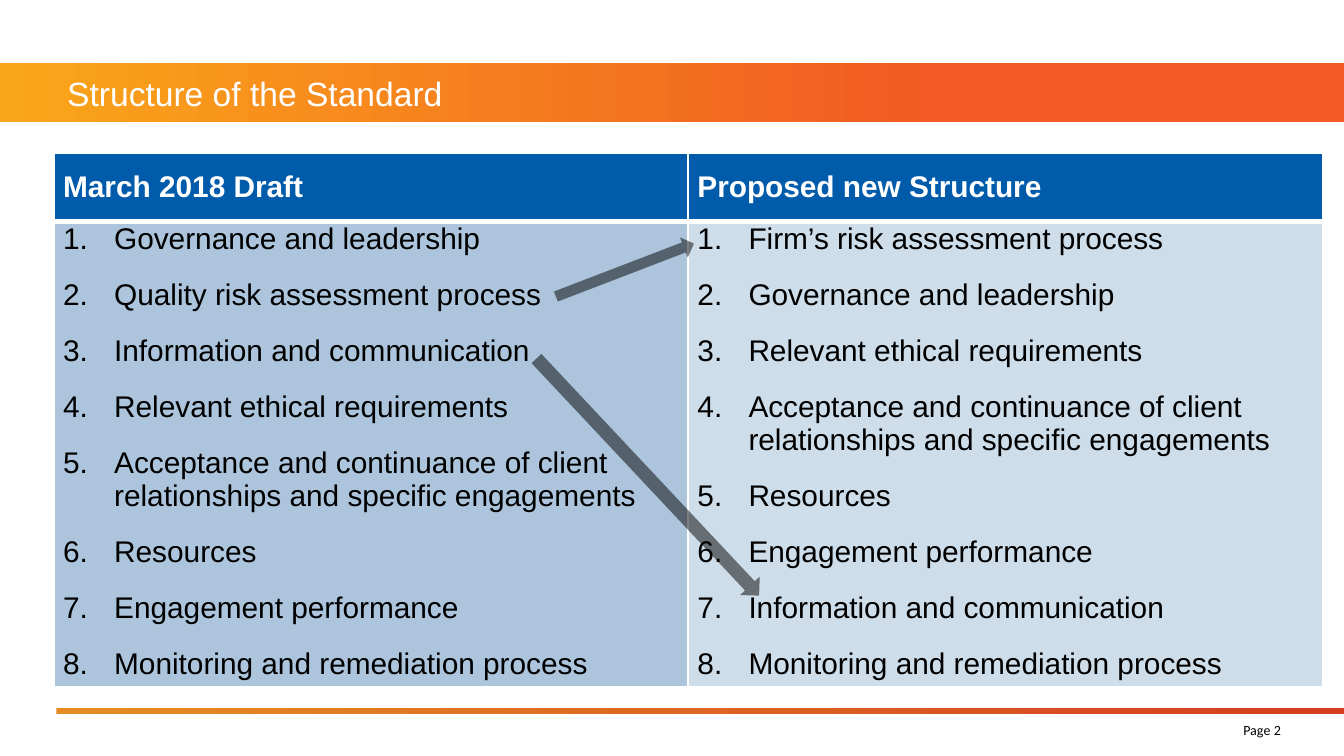
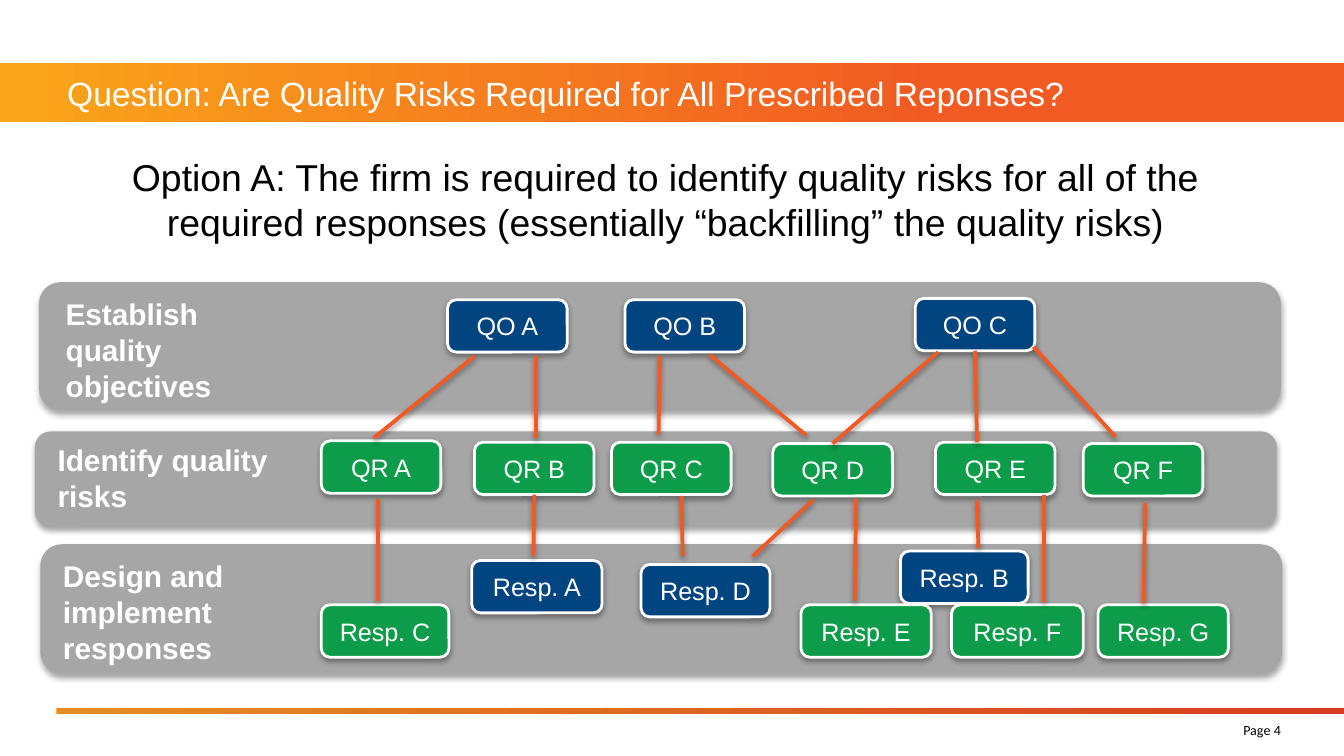
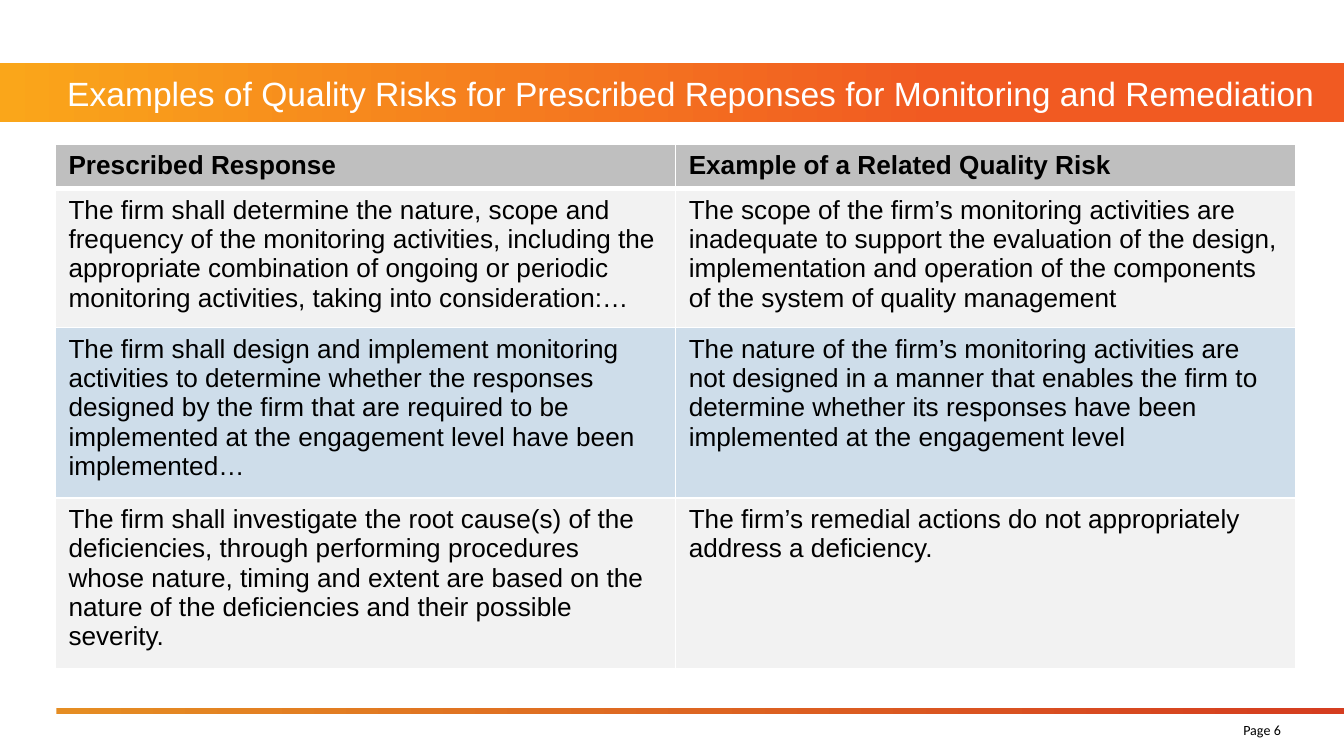
from lxml import etree
from pptx import Presentation
from pptx.dml.color import RGBColor
from pptx.enum.shapes import MSO_CONNECTOR, MSO_SHAPE
from pptx.enum.text import MSO_ANCHOR as ANCHOR, MSO_AUTO_SIZE, PP_ALIGN as ALIGN
from pptx.oxml.ns import qn
from pptx.util import Inches, Pt

# Shared look
WIDTH = 10
HEIGHT = WIDTH * 9 / 16
WHITE, BLACK, GREY = "FFFFFF", "000000", "A6A6A6"
NAVY, GREEN, ORANGE = "004480", "0D9C4A", "F15A22"
BLUE, MID_BLUE, PALE_BLUE = "005BAA", "ACC5DC", "CEDDEA"
HEADER_GREY, PALE_GREY = "BFBFBF", "F2F2F2"
FONT = "Arial"
TITLE_BAND = (0, 0.47, WIDTH, 0.44)
FOOTER_RULE = (0.42, 5.27, 9.58, 0.04)

# Slide 1: two numbered lists and the arrows between them
STRUCTURE = {
    "March 2018 Draft": [
        "Governance and leadership",
        "Quality risk assessment process",
        "Information and communication",
        "Relevant ethical requirements",
        "Acceptance and continuance of client relationships and specific engagements",
        "Resources",
        "Engagement performance",
        "Monitoring and remediation process",
    ],
    "Proposed new Structure": [
        "Firm’s risk assessment process",
        "Governance and leadership",
        "Relevant ethical requirements",
        "Acceptance and continuance of client relationships and specific engagements",
        "Resources",
        "Engagement performance",
        "Information and communication",
        "Monitoring and remediation process",
    ],
}
MOVES = [((4.1, 1.93, 1.1, 0.16), 339), ((3.61, 3.45, 2.42, 0.2), 46.8)]

# Slide 2: lanes, boxes (name, left, top, width) and links
OPTION = ("Option A: The firm is required to identify quality risks for all of the "
          "required responses (essentially “backfilling” the quality risks)")
LANES = [
    ("Establish quality objectives", (0.29, 2.1, 9.24, 0.95), (0.39, 2.15, 1.83, 0.91)),
    ("Identify quality risks", (0.26, 3.21, 9.24, 0.71), (0.33, 3.24, 2.08, 0.64)),
    ("Design and implement responses", (0.3, 4.05, 9.24, 0.96), (0.37, 4.1, 2.08, 0.91)),
]
BOX_H = 0.39
BOXES = {
    NAVY: [("QO A", 3.33, 2.23, 0.89), ("QO B", 4.65, 2.23, 0.89),
           ("QO C", 6.81, 2.22, 0.89), ("Resp. A", 3.51, 4.17, 0.97),
           ("Resp. B", 6.7, 4.1, 0.95), ("Resp. D", 4.77, 4.2, 0.96)],
    GREEN: [("QR A", 2.39, 3.28, 0.89), ("QR B", 3.53, 3.29, 0.89),
            ("QR C", 4.55, 3.29, 0.89), ("QR D", 5.75, 3.3, 0.89),
            ("QR E", 6.96, 3.29, 0.89), ("QR F", 8.06, 3.3, 0.89),
            ("Resp. C", 2.39, 4.5, 0.95), ("Resp. E", 5.96, 4.5, 0.97),
            ("Resp. F", 7.08, 4.5, 0.98), ("Resp. G", 8.17, 4.5, 0.97)],
}
# A name stands for the bottom middle (start) or top middle (end) of that box
LINKS = [
    ((3.53, 2.65), (2.78, 3.26)), ((3.99, 2.65), (3.99, 3.26)),
    ((4.91, 2.65), (4.9, 3.23)), ((5.28, 2.64), (6, 3.24)),
    ((6.98, 2.62), "QR D"), ("QO C", (7.27, 3.29)), ((7.69, 2.58), (8.3, 3.25)),
    ((2.81, 3.71), (2.81, 4.47)), ("QR B", (3.97, 4.14)),
    ((5.07, 3.69), (5.08, 4.14)), ((6.05, 3.72), (5.6, 4.14)),
    ((6.37, 3.71), (6.36, 4.47)), ((7.27, 3.72), (7.28, 4.08)),
    ((7.77, 3.68), (7.77, 4.48)), ((8.52, 3.74), (8.51, 4.49)),
]

# Slide 3: responses and their risks
RISK_HEADER = ("Prescribed Response", "Example of a Related Quality Risk")
RISKS = [
    ("The firm shall determine the nature, scope and frequency of the monitoring "
     "activities, including the appropriate combination of ongoing or periodic "
     "monitoring activities, taking into consideration:…",
     "The scope of the firm’s monitoring activities are inadequate to support the "
     "evaluation of the design, implementation and operation of the components of "
     "the system of quality management"),
    ("The firm shall design and implement monitoring activities to determine whether "
     "the responses designed by the firm that are required to be implemented at the "
     "engagement level have been implemented…",
     "The nature of the firm’s monitoring activities are not designed in a manner "
     "that enables the firm to determine whether its responses have been implemented "
     "at the engagement level"),
    ("The firm shall investigate the root cause(s) of the deficiencies, through "
     "performing procedures whose nature, timing and extent are based on the nature "
     "of the deficiencies and their possible severity.",
     "The firm’s remedial actions do not appropriately address a deficiency."),
]


def rgb(color):
    return RGBColor.from_string(color)


def box(at):
    return [Inches(v) for v in at]


def style(p, size, color, bold=False, align=ALIGN.LEFT, font=FONT):
    p.alignment = align
    f = p.font
    f.name, f.size, f.bold = font, Pt(size), bold
    f.color.rgb = rgb(color)


def add_shape(slide, kind, at, fill=None, line=None):
    sp = slide.shapes.add_shape(kind, *box(at))
    sp.shadow.inherit = False
    if fill:
        sp.fill.solid()
        sp.fill.fore_color.rgb = rgb(fill)
    if line:
        sp.line.color.rgb = rgb(line)
        sp.line.width = Pt(1.5)
    else:
        sp.line.fill.background()
    return sp


def add_text(slide, at, text, *args, **kwargs):
    tf = slide.shapes.add_textbox(*box(at)).text_frame
    tf.word_wrap = True
    tf.text = text
    style(tf.paragraphs[0], *args, **kwargs)
    return tf


def no_margins(tf):
    tf.margin_left = tf.margin_right = tf.margin_top = tf.margin_bottom = 0
    tf.vertical_anchor = ANCHOR.MIDDLE


def add_shadow(sp, alpha, distance):
    props = sp.element.spPr
    effects = props.find(qn("a:effectLst"))
    if effects is None:
        effects = etree.SubElement(props, qn("a:effectLst"))
    outer = etree.SubElement(effects, qn("a:outerShdw"), blurRad=str(Pt(3.1)),
                             dist=str(Pt(distance)), dir="5400000", rotWithShape="0")
    color = etree.SubElement(outer, qn("a:srgbClr"), val=BLACK)
    etree.SubElement(color, qn("a:alpha"), val=str(alpha * 1000))


def add_gradient(slide, at, stops):
    sp = add_shape(slide, MSO_SHAPE.RECTANGLE, at)
    sp.fill.gradient()
    sp.fill.gradient_angle = 0
    for stop, (position, color) in zip(sp.fill.gradient_stops, stops):
        stop.position = position
        stop.color.rgb = rgb(color)
    return sp


def add_bands(slide):
    """Draw the title band and footer rule, then hand them to the layout."""
    bands = [add_gradient(slide, TITLE_BAND, [(0, "FAA61A"), (0.7, ORANGE)]),
             add_gradient(slide, FOOTER_RULE, [(0, "E58D23"), (1, "D53D20")])]
    for i, sp in enumerate(bands):
        slide.slide_layout.shapes.element.insert(2 + i, sp.element)


def add_slide(prs, title, page, title_width=9):
    slide = prs.slides.add_slide(prs.slide_layouts[5])
    sp = slide.shapes.title
    sp.left, sp.top, sp.width, sp.height = box((0.5, 0.47, title_width, 0.44))
    tf = sp.text_frame
    tf.text = title
    tf.auto_size = MSO_AUTO_SIZE.NONE
    no_margins(tf)
    style(tf.paragraphs[0], 18, WHITE)
    no_margins(add_text(slide, (9.01, 5.35, 0.52, 0.16), f"Page {page}", 7.5, BLACK,
                        align=ALIGN.RIGHT, font="Calibri"))
    return slide


def add_table(slide, at, heights):
    table = slide.shapes.add_table(len(heights), 2, *box(at)).table
    for row, height in zip(table.rows, heights):
        row.height = Inches(height)
    return table


def paint_cell(cell, fill, bottom=1):
    """White borders first, then the fill, as the cell properties require."""
    props = cell._tc.get_or_add_tcPr()
    for side, width in (("L", 1), ("R", 1), ("T", 1), ("B", bottom)):
        ln = etree.SubElement(props, qn(f"a:ln{side}"), w=str(Pt(width)))
        solid = etree.SubElement(ln, qn("a:solidFill"))
        etree.SubElement(solid, qn("a:srgbClr"), val=WHITE)
    cell.fill.solid()
    cell.fill.fore_color.rgb = rgb(fill)


def number(p):
    props = p._p.get_or_add_pPr()
    props.set("marL", str(Inches(0.38)))
    props.set("indent", str(-Inches(0.38)))
    etree.SubElement(props, qn("a:buAutoNum"), type="arabicPeriod")


def build_structure(slide):
    table = add_table(slide, (0.4, 1.14, 9.44, 3.97), (0.51, 3.46))
    for col, (heading, items) in enumerate(STRUCTURE.items()):
        head, body = table.cell(0, col), table.cell(1, col)
        paint_cell(head, BLUE, bottom=3)
        paint_cell(body, (MID_BLUE, PALE_BLUE)[col])
        head.vertical_anchor = ANCHOR.MIDDLE
        for cell, lines in ((head, [heading]), (body, items)):
            cell.margin_left = cell.margin_right = Inches(0.07)
            cell.margin_top = cell.margin_bottom = 0
            tf = cell.text_frame
            tf.text = "\n".join(lines)
            for i, p in enumerate(tf.paragraphs):
                if cell is body:
                    number(p)
                p.line_spacing = Pt(18)
                p.space_before = Pt(6 if i else 0)
                p.space_after = Pt(6 if cell is body else 0)
                style(p, 16, BLACK if cell is body else WHITE, bold=cell is head)
    # Half-transparent arrows
    for at, angle in MOVES:
        sp = add_shape(slide, MSO_SHAPE.RIGHT_ARROW, at, BLACK)
        sp.rotation = angle
        color = sp.element.spPr.find(qn("a:solidFill"))[0]
        etree.SubElement(color, qn("a:alpha"), val="50000")


def build_option(slide):
    add_text(slide, (0.38, 1.1, 9.15, 0.77), OPTION, 20, BLACK, align=ALIGN.CENTER)
    for label, lane_at, label_at in LANES:
        add_shadow(add_shape(slide, MSO_SHAPE.ROUNDED_RECTANGLE, lane_at, GREY), 35, 1.8)
        add_text(slide, label_at, label, 16, WHITE, bold=True)
    nodes = {}
    for fill, boxes in BOXES.items():
        for name, left, top, width in boxes:
            sp = add_shape(slide, MSO_SHAPE.ROUNDED_RECTANGLE,
                           (left, top, width, BOX_H), fill, WHITE)
            add_shadow(sp, 35, 1.8)
            tf = sp.text_frame
            tf.text = name
            tf.vertical_anchor = ANCHOR.MIDDLE
            style(tf.paragraphs[0], 13.5, WHITE, align=ALIGN.CENTER)
            nodes[name] = sp
    # Links between the boxes
    for start, end in LINKS:
        a = (0, 0) if start in nodes else start
        b = (0, 0) if end in nodes else end
        line = slide.shapes.add_connector(MSO_CONNECTOR.STRAIGHT, *box(a + b))
        if start in nodes:
            line.begin_connect(nodes[start], 2)
        if end in nodes:
            line.end_connect(nodes[end], 0)
        line.line.color.rgb = rgb(ORANGE)
        line.line.width = Pt(2)
        add_shadow(line, 38, 1.6)


def build_risks(slide):
    # Rows start low and grow with their text
    table = add_table(slide, (0.41, 1.07, 9.23, 3.67), (0, 0.41, 0.41, 0.41))
    for r, texts in enumerate([RISK_HEADER] + RISKS):
        fill = HEADER_GREY if r == 0 else (PALE_BLUE, PALE_GREY)[r % 2]
        for c, text in enumerate(texts):
            cell = table.cell(r, c)
            paint_cell(cell, fill, bottom=1 if r else 3)
            cell.text = text
            style(cell.text_frame.paragraphs[0], 14, BLACK, bold=r == 0)


def main():
    prs = Presentation()
    prs.slide_width, prs.slide_height = Inches(WIDTH), Inches(HEIGHT)
    first = add_slide(prs, "Structure of the Standard", 2)
    add_bands(first)
    build_structure(first)
    build_option(add_slide(
        prs, "Question: Are Quality Risks Required for All Prescribed Reponses?", 4))
    build_risks(add_slide(
        prs, "Examples of Quality Risks for Prescribed Reponses for Monitoring and "
             "Remediation", 6, title_width=9.6))
    prs.save("out.pptx")


if __name__ == "__main__":
    main()
